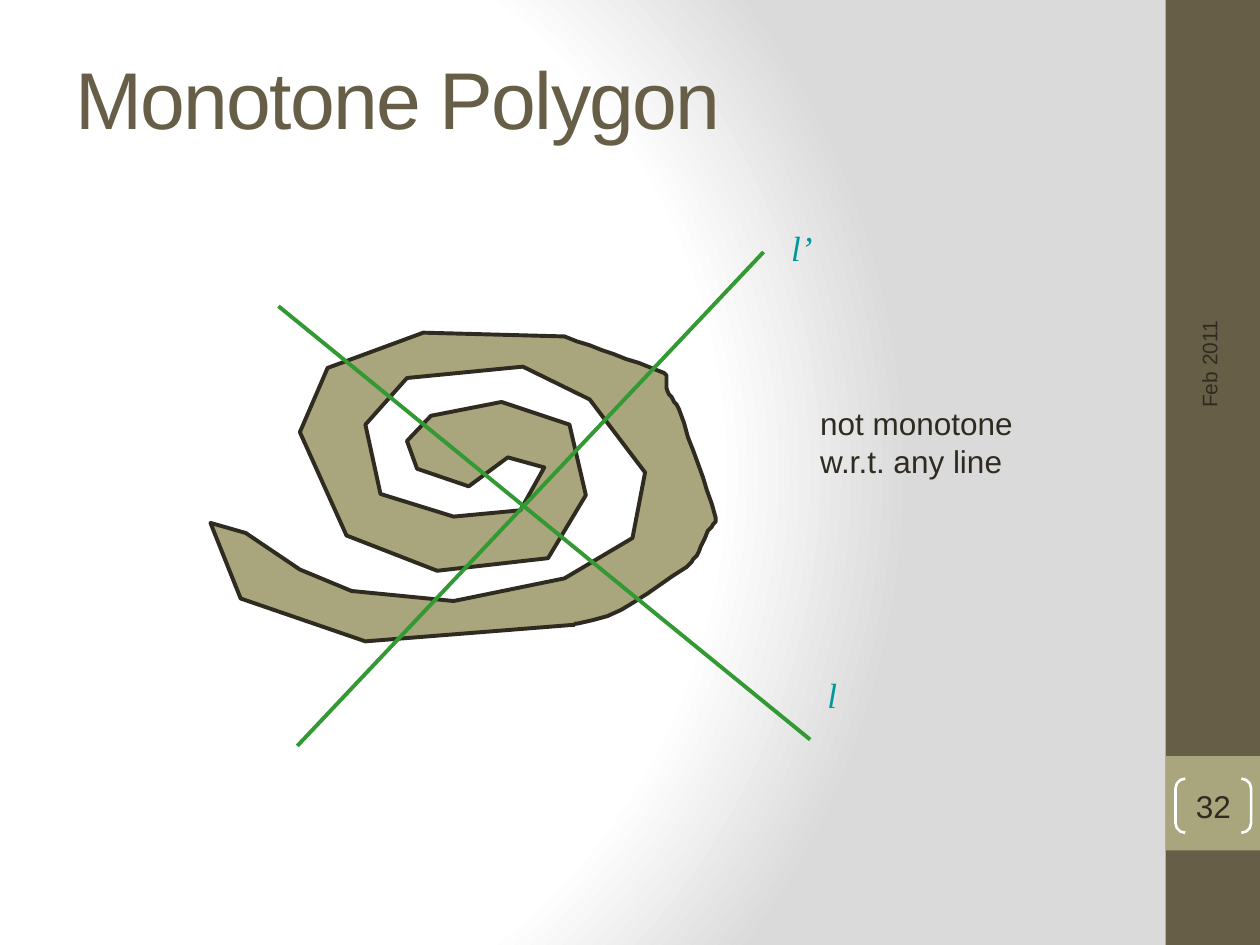
from collections import namedtuple

from lxml.etree import SubElement
from pptx import Presentation
from pptx.dml.color import RGBColor
from pptx.enum.shapes import MSO_CONNECTOR as Connector, MSO_SHAPE as Shape
from pptx.enum.text import MSO_ANCHOR as Anchor, PP_ALIGN as Align
from pptx.oxml import parse_xml
from pptx.oxml.ns import nsdecls, qn
from pptx.util import Inches, Pt

# Grid: one unit is a tenth of the slide's width, in both directions
COLUMNS, ROWS = 10, 7.5
UNIT = Inches(1)

Box = namedtuple("Box", "left top width height")


class Theme:
    ink, brown, khaki = "2F2B20", "675E47", "A9A57C"
    white, shade = "FFFFFF", "DADADA"
    green, teal = "339933", "009999"
    sans, serif = "Arial", "Times New Roman"
    title, label, body, small = 46, 20, 18, 12
    outline, bracket = 2.25, 1.5


# Spiral vertices in hundredths of a unit; six numbers are a Bézier segment
SPIRAL = [
    (236, 99), (205, 122), (164, 108), (156, 86), (175, 66), (231, 55),
    (285, 73), (298, 129), (268, 179), (180, 189), (108, 161), (71, 79),
    (93, 28), (169, 0), (281, 3),
    (307, 13, 334, 21, 360, 32), (364, 34, 361, 40, 362, 44),
    (365, 51, 369, 56, 372, 61), (382, 90, 392, 118, 401, 147),
    (402, 151, 397, 154, 395, 157), (393, 163, 390, 169, 387, 175),
    (385, 179, 378, 186, 378, 186), (348, 205, 326, 226, 291, 231),
    (290, 231, 287, 232, 287, 232),
    (123, 245), (24, 211), (0, 151), (28, 159), (71, 188), (112, 205),
    (193, 213), (281, 195), (335, 163), (345, 111), (301, 53), (248, 27),
    (156, 36), (123, 73), (135, 128), (193, 146), (246, 141), (265, 107),
]
CURVE_STEPS = 8


def units(*values):
    return [round(value * UNIT) for value in values]


def inside(box, left, top, width, height):
    """Box placed by an offset from the corner of another box."""
    return Box(box.left + left, box.top + top, width, height)


def color(code):
    return RGBColor.from_string(code)


def paint(part, fill=None, line=None, weight=0):
    part.shadow.inherit = False
    if fill:
        part.fill.solid()
        part.fill.fore_color.rgb = color(fill)
    else:
        part.fill.background()
    if line:
        part.line.color.rgb = color(line)
        part.line.width = Pt(weight)
    else:
        part.line.fill.background()


def write(part, text, size, ink=Theme.ink, font=Theme.sans, italic=False,
          align=Align.LEFT, **frame_format):
    frame = part.text_frame
    for key, value in {"word_wrap": True, **frame_format}.items():
        setattr(frame, key, value)
    paragraph = frame.paragraphs[0]
    paragraph.alignment = align
    run = paragraph.add_run()
    run.text = text
    for key, value in {"name": font, "size": Pt(size), "italic": italic,
                       "bold": False}.items():
        setattr(run.font, key, value)
    run.font.color.rgb = color(ink)
    return run


def add_background(slide):
    stops = "".join(
        f'<a:gs pos="{share * 1000}"><a:srgbClr val="{code}"/></a:gs>'
        for share, code in ((0, Theme.white), (75, Theme.white), (100, Theme.shade)))
    slide.element.cSld.insert(0, parse_xml(
        f'<p:bg {nsdecls("p", "a")}><p:bgPr><a:gradFill rotWithShape="1">'
        f'<a:gsLst>{stops}</a:gsLst><a:path path="circle">'
        '<a:fillToRect l="20000" t="50000" r="100000" b="50000"/></a:path>'
        '</a:gradFill><a:effectLst/></p:bgPr></p:bg>'))


def add_sidebar(shapes, box):
    # Band and page-number square
    square = inside(box, 0, 0.8 * box.height, box.width, box.width)
    for area, fill in ((box, Theme.brown), (square, Theme.khaki)):
        paint(shapes.add_shape(Shape.RECTANGLE, *units(*area)), fill)

    # Date, reading upwards
    date = shapes.add_textbox(*units(*inside(box, -0.99, 1.8, 2.67, 0.4)))
    date.rotation = 270
    write(date, "Feb 2011", Theme.small, vertical_anchor=Anchor.MIDDLE)

    # Page number in brackets
    page = shapes.add_shape(Shape.DOUBLE_BRACKET,
                            *units(*inside(square, 0.08, 0.18, 0.6, 0.43)))
    page.adjustments[0] = 0.18
    paint(page, line=Theme.white, weight=Theme.bracket)
    write(page, "32", Theme.body, align=Align.CENTER,
          vertical_anchor=Anchor.MIDDLE, margin_left=0, margin_right=0,
          margin_top=0, margin_bottom=0)


def add_title(title, box):
    title.left, title.top, title.width, title.height = units(*box)
    run = write(title, "Monotone Polygon", Theme.title, Theme.brown,
                vertical_anchor=Anchor.MIDDLE)
    run.font._element.set("spc", "-100")


def flatten(segments):
    """Vertices of the outline, with each Bézier segment sampled."""
    vertices = []
    for segment in segments:
        if len(segment) == 2:
            vertices.append(segment)
            continue
        controls = [vertices[-1], segment[:2], segment[2:4], segment[4:]]
        for step in range(1, CURVE_STEPS + 1):
            t = step / CURVE_STEPS
            weights = ((1 - t) ** 3, 3 * t * (1 - t) ** 2,
                       3 * t ** 2 * (1 - t), t ** 3)
            vertices.append(tuple(
                sum(w * point[axis] for w, point in zip(weights, controls))
                for axis in (0, 1)))
    return vertices


def add_diagram(shapes, box):
    # Spiral polygon
    start, *rest = flatten(SPIRAL)
    outline = shapes.build_freeform(*start, scale=UNIT / 100)
    outline.add_line_segments(rest, close=True)
    spiral = outline.convert_to_shape(*units(box.left, box.top))
    paint(spiral, Theme.khaki, Theme.ink, Theme.outline)

    # Lines, each with its label
    for name, start, end, corner in (
            ("l", (4.76, 3.23), (0.54, -0.21), (4.37, 2.66)),
            ("l’", (0.69, 3.28), (4.39, -0.64), (4.13, -0.89))):
        ends = [box[axis] + point[axis] for point in (start, end) for axis in (0, 1)]
        line = shapes.add_connector(Connector.STRAIGHT, *units(*ends))
        line.line.color.rgb = color(Theme.green)
        line.line.width = Pt(Theme.outline)
        SubElement(line._element.spPr, qn("a:effectLst"))
        label = shapes.add_textbox(*units(*inside(box, *corner, 1.13, 0.6)))
        write(label, name, Theme.label, Theme.teal, Theme.serif, True, Align.CENTER)


def add_remark(shapes, box):
    write(shapes.add_textbox(*units(*box)), "not monotone w.r.t. any line", Theme.body)


def main():
    deck = Presentation()
    deck.slide_width, deck.slide_height = units(COLUMNS, ROWS)
    slide = deck.slides.add_slide(deck.slide_layouts[5])
    add_background(slide)
    add_sidebar(slide.shapes, Box(9.25, 0, 0.75, ROWS))
    add_title(slide.shapes.title, Box(0.5, 0.3, 8.33, 0.95))
    add_diagram(slide.shapes.add_group_shape().shapes, Box(1.67, 2.64, 4.02, 2.46))
    add_remark(slide.shapes, Box(6.41, 3.16, 1.81, 0.71))
    deck.save("out.pptx")


if __name__ == "__main__":
    main()
